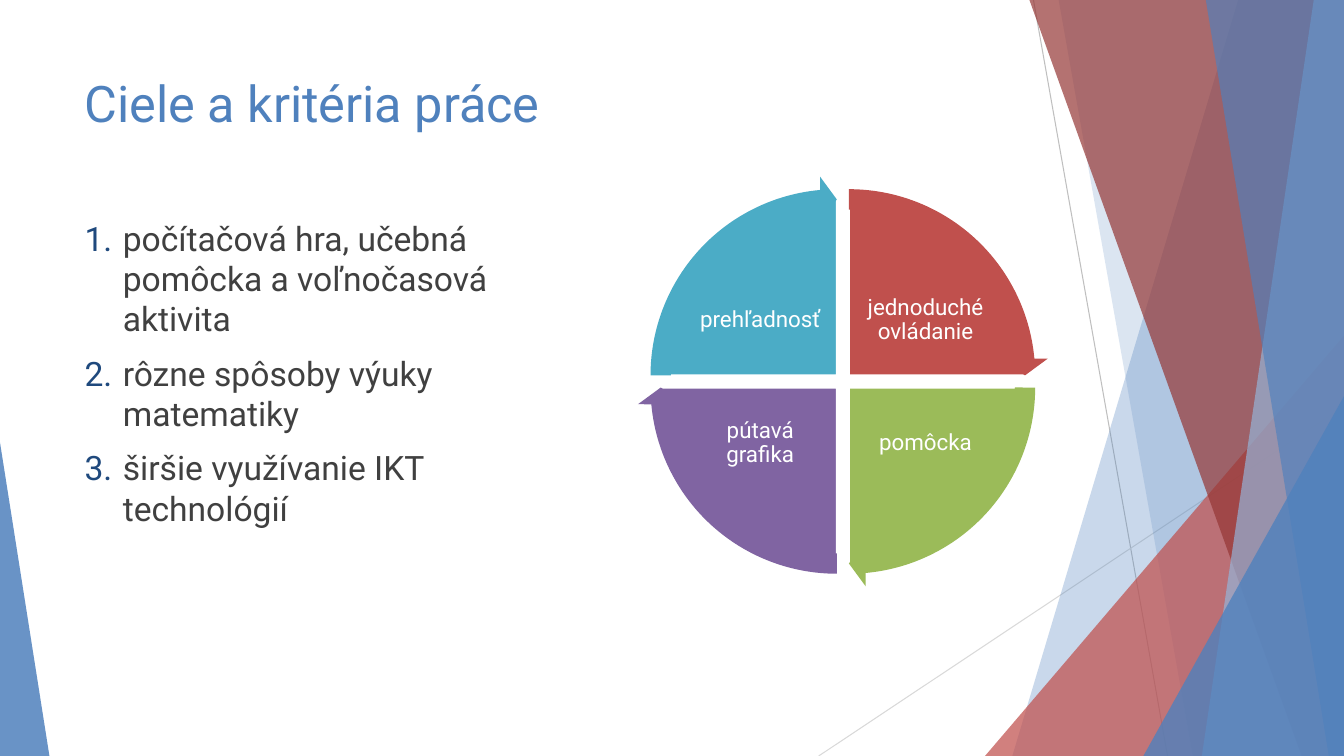
from pptx import Presentation
from pptx.util import Inches, Pt
from pptx.dml.color import RGBColor
from pptx.enum.shapes import MSO_SHAPE as Geo, MSO_CONNECTOR as Link
from pptx.enum.text import PP_ALIGN as Align, MSO_ANCHOR as Anchor
from pptx.oxml.ns import qn
from lxml.etree import SubElement as Sub

W, H = 13.33, 7.5
FONT = "Roboto"
BLUE, RED, WHITE = "4F81BD", "C0504D", "FFFFFF"

TITLE = "Ciele a kritéria práce"
GOALS = [
    "počítačová hra, učebná pomôcka a voľnočasová aktivita",
    "rôzne spôsoby výuky matematiky",
    "širšie využívanie IKT technológií",
]
WHEEL = [
    ("jednoduché ovládanie", RED, 1, -1),
    ("pomôcka", "9BBB59", 1, 1),
    ("pútavá grafika", "8064A2", -1, 1),
    ("prehľadnosť", "4BACC6", -1, -1),
]
RAYS = [
    ((10.25, 0), (11.58, H), "BFBFBF"),
    ((W, 4.03), (8.12, H), "D9D9D9"),
]
FACETS = [
    ("band", 12.28, 10.04, BLUE, 30),
    ("band", 10.5, 11.83, BLUE, 20),
    ("right", 9.77, 3.33, RED, 72),
    ("band", 10.21, 12.91, "953735", 70),
    ("band", 13.03, 11.92, "95B3D7", 70),
    ("band", 11.96, 13.18, BLUE, 65),
    ("right", 11.34, 3.93, BLUE, 80),
    ("left", 0.49, 4.39, BLUE, 85),
]
MID_X, MID_Y = 8.36, 3.785
GAP = 0.06
PIE, RING = 3.53, 3.96
TAG_W, TAG_H = 1.3, 0.97
TAG_X, TAG_Y = 0.82, 0.61
TURN, QUAD, SWEEP = 216, 54, 50.725

deck = Presentation()
deck.slide_width, deck.slide_height = Inches(W), Inches(H)
slide = deck.slides.add_slide(deck.slide_layouts[6])
shapes = slide.shapes


def color(code):
    return RGBColor.from_string(code)


def paint(shape, fill, alpha=100, line=None):
    shape.shadow.inherit = False
    shape.fill.solid()
    shape.fill.fore_color.rgb = color(fill)
    if alpha < 100:
        tone = shape.fill._xPr.find(qn("a:solidFill"))[0]
        Sub(tone, qn("a:alpha"), val=str(alpha * 1000))
    if line:
        shape.line.color.rgb = color(line)
        shape.line.width = Pt(1.5)
    else:
        shape.line.fill.background()


def preset(kind, x, y, w, h, adj, fill, **look):
    shape = shapes.add_shape(kind, *map(Inches, (x, y, w, h)))
    for i, value in enumerate(adj):
        shape.adjustments[i] = value
    paint(shape, fill, **look)


def number(par):
    props = par._p.get_or_add_pPr()
    props.set("marL", str(Inches(0.38)))
    props.set("indent", str(-Inches(0.38)))
    tint = Sub(props, qn("a:buClr"))
    Sub(tint, qn("a:srgbClr"), val="1F497D")
    Sub(props, qn("a:buAutoNum"), type="arabicPeriod")


def write(lines, x, y, w, h, size, ink, align=Align.LEFT, anchor=Anchor.TOP,
          inset=None, space=None, before=0, listed=False):
    frame = shapes.add_textbox(*map(Inches, (x, y, w, h))).text_frame
    frame.word_wrap = True
    frame.vertical_anchor = anchor
    if inset is not None:
        frame.margin_left = frame.margin_right = Inches(inset)
        frame.margin_top = frame.margin_bottom = Inches(inset)
    for i, line in enumerate(lines):
        par = frame.paragraphs[0] if i == 0 else frame.add_paragraph()
        if listed:
            number(par)
        par.alignment = align
        if space:
            par.line_spacing = space
        if i and before:
            par.space_before = Pt(before)
        run = par.add_run()
        run.text = line
        run.font.name, run.font.size = FONT, Pt(size)
        run.font.color.rgb = color(ink)


def corner(mid, side, size):
    return mid + side * GAP - size / 2


for start, end, ink in RAYS:
    ray = shapes.add_connector(Link.STRAIGHT, *map(Inches, start + end))
    ray.line.color.rgb = color(ink)
    ray.line.width = Pt(0.75)
    Sub(ray._element.spPr, qn("a:effectLst"))

for kind, a, b, fill, alpha in FACETS:
    if kind == "band":
        pen = shapes.build_freeform(Inches(a), 0)
        edge = [(W, 0), (W, H), (b, H)]
        pen.add_line_segments([(Inches(x), Inches(y)) for x, y in edge])
        paint(pen.convert_to_shape(), fill, alpha)
    elif kind == "right":
        preset(Geo.ISOSCELES_TRIANGLE, a, b, W - a, H - b, [1], fill, alpha=alpha)
    else:
        preset(Geo.ISOSCELES_TRIANGLE, 0, b, a, H - b, [0], fill, alpha=alpha)

write([TITLE], 0.74, 0.67, 9.4, 1.44, 36, BLUE)
write(GOALS, 0.74, 2.11, 4.84, 4.5, 24, "404040", before=10, listed=True)

for i, (name, fill, dx, dy) in enumerate(WHEEL):
    start = (i + 3) * QUAD % TURN
    preset(Geo.PIE, corner(MID_X, dx, PIE), corner(MID_Y, dy, PIE), PIE, PIE,
           [start, (start + QUAD) % TURN], fill, line=WHITE)
    write([name], MID_X + dx * TAG_X - TAG_W / 2, MID_Y + dy * TAG_Y - TAG_H / 2,
          TAG_W, TAG_H, 16, WHITE, align=Align.CENTER, anchor=Anchor.MIDDLE,
          inset=0.02, space=0.9)

for i, (name, fill, dx, dy) in enumerate(WHEEL):
    start = (i + 3) * QUAD % TURN
    preset(Geo.CIRCULAR_ARROW, corner(MID_X, dx, RING), corner(MID_Y, dy, RING),
           RING, RING, [0.051, 3.275, start + SWEEP, start, 0.059], fill)

deck.save("out.pptx")
